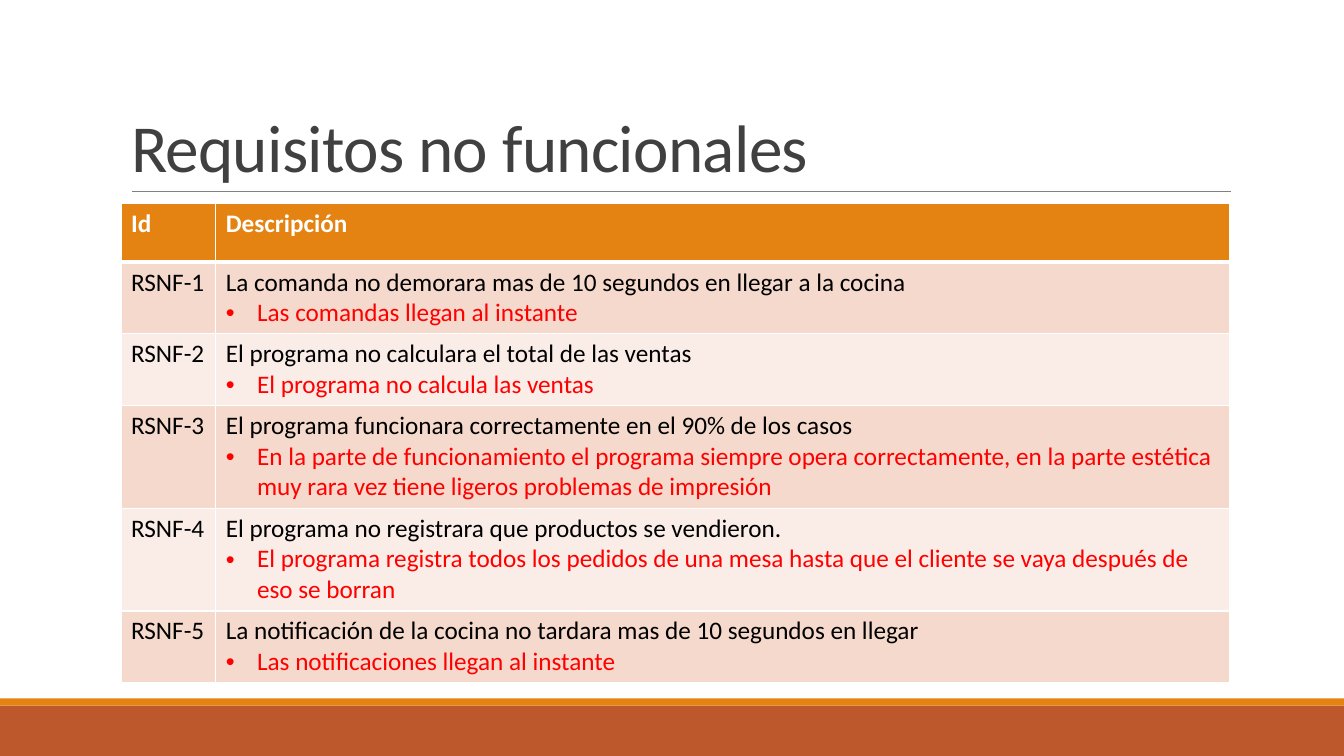
from lxml import etree
from pptx import Presentation
from pptx.dml.color import RGBColor
from pptx.enum.shapes import MSO_CONNECTOR, MSO_SHAPE
from pptx.enum.text import MSO_ANCHOR, MSO_AUTO_SIZE, PP_ALIGN
from pptx.oxml.ns import qn
from pptx.util import Inches, Pt

RECTANGLE = MSO_SHAPE.RECTANGLE
STRAIGHT = MSO_CONNECTOR.STRAIGHT
BOTTOM = MSO_ANCHOR.BOTTOM
NO_AUTOFIT = MSO_AUTO_SIZE.NONE
LEFT = PP_ALIGN.LEFT

FONT = "Calibri"
ORANGE, RUST, WHITE = "E48312", "BD582C", "FFFFFF"
BANDS = ("F5D9CC", "FAEDE7")
TITLE = "Requisitos no funcionales"
HEADINGS = ("Id", "Descripción")
COLUMN_WIDTHS = (0.94, 10.06)
HEADER_HEIGHT = 0.58
REQUIREMENTS = [
    ("La comanda no demorara mas de 10 segundos en llegar a la cocina",
     "Las comandas llegan al instante", 0.71),
    ("El programa no calculara el total de las ventas",
     "El programa no calcula las ventas", 0.71),
    ("El programa funcionara correctamente en el 90% de los casos",
     "En la parte de funcionamiento el programa siempre opera correctamente, "
     "en la parte estética muy rara vez tiene ligeros problemas de impresión", 1.02),
    ("El programa no registrara que productos se vendieron.",
     "El programa registra todos los pedidos de una mesa hasta que el cliente "
     "se vaya después de eso se borran", 1.02),
    ("La notificación de la cocina no tardara mas de 10 segundos en llegar",
     "Las notificaciones llegan al instante", 0.71),
]


def color(value):
    """Turn a hex string into a colour."""
    return RGBColor.from_string(value)


def set_font(paragraph, size, value, bold=False):
    """Set the font of a whole paragraph."""
    font = paragraph.font
    font.name, font.size, font.bold = FONT, Pt(size), bold
    font.color.rgb = color(value)


def add_bar(page, left, top, width, height, value):
    """Add a plain filled bar."""
    bar = page.shapes.add_shape(
        RECTANGLE, Inches(left), Inches(top), Inches(width), Inches(height))
    bar.shadow.inherit = False
    bar.fill.solid()
    bar.fill.fore_color.rgb = color(value)
    bar.line.fill.background()


def add_footer(page, left, top, width, height):
    """Add the thin stripe and the broad band below it."""
    stripe = 0.07
    add_bar(page, left, top + stripe, width, height - stripe, RUST)
    add_bar(page, left, top, width, stripe, ORANGE)


def add_title(page, left, top, width, height):
    """Place the title and the rule along its lower edge."""
    title = page.shapes.title
    title.left, title.top = Inches(left), Inches(top)
    title.width, title.height = Inches(width), Inches(height)
    frame = title.text_frame
    frame.text = TITLE
    frame.word_wrap = True
    frame.auto_size = NO_AUTOFIT
    frame.vertical_anchor = BOTTOM
    para = frame.paragraphs[0]
    para.alignment = LEFT
    para.line_spacing = 0.85
    set_font(para, 48, "404040")
    para.runs[0]._r.get_or_add_rPr().set("spc", "-50")

    bottom = Inches(top + height)
    rule = page.shapes.add_connector(
        STRAIGHT, Inches(left + 0.11), bottom, Inches(left + width + 0.01), bottom)
    rule.line.color.rgb = color("808080")
    rule.line.width = Pt(0.5)
    etree.SubElement(rule._element.spPr, qn("a:effectLst"))


def add_bullet(para):
    """Give a paragraph a hanging round bullet."""
    properties = para._p.get_or_add_pPr()
    indent = Inches(0.31)
    properties.set("marL", str(indent))
    properties.set("indent", str(-indent))
    etree.SubElement(properties, qn("a:buFont"), typeface="Arial")
    etree.SubElement(properties, qn("a:buChar"), char="•")


def style_cell(cell, fill, top_width, bottom_width):
    """Give a cell white borders and a solid fill."""
    properties = cell._tc.get_or_add_tcPr()
    sides = {"lnL": 1, "lnR": 1, "lnT": top_width, "lnB": bottom_width}
    for side, width in sides.items():
        line = etree.SubElement(properties, qn(f"a:{side}"), w=str(Pt(width)))
        solid = etree.SubElement(line, qn("a:solidFill"))
        etree.SubElement(solid, qn("a:srgbClr"), val=WHITE)
    cell.fill.solid()
    cell.fill.fore_color.rgb = color(fill)


def add_requirements(page, left, top, width, height):
    """Add the table of requirements with their outcomes."""
    table = page.shapes.add_table(
        len(REQUIREMENTS) + 1, len(HEADINGS),
        Inches(left), Inches(top), Inches(width), Inches(height)).table
    for column, column_width in zip(table.columns, COLUMN_WIDTHS):
        column.width = Inches(column_width)

    table.rows[0].height = Inches(HEADER_HEIGHT)
    for cell, heading in zip(table.rows[0].cells, HEADINGS):
        style_cell(cell, ORANGE, 1, 3)
        cell.text = heading
        set_font(cell.text_frame.paragraphs[0], 18, WHITE, bold=True)

    for number, (requirement, outcome, row_height) in enumerate(REQUIREMENTS, 1):
        row = table.rows[number]
        row.height = Inches(row_height)
        for cell, text in zip(row.cells, (f"RSNF-{number}", requirement)):
            style_cell(cell, BANDS[(number - 1) % 2], 3 if number == 1 else 1, 1)
            cell.text = text
            set_font(cell.text_frame.paragraphs[0], 18, "000000")
        para = row.cells[1].text_frame.add_paragraph()
        para.text = outcome
        add_bullet(para)
        set_font(para, 18, "FF0000")


def main():
    """Build and save the deck."""
    deck = Presentation()
    deck.slide_width, deck.slide_height = Inches(13.33), Inches(7.5)
    page = deck.slides.add_slide(deck.slide_layouts[5])
    add_footer(page, 0, 6.93, 13.33, 0.57)
    add_title(page, 1.2, 0.31, 11, 1.59)
    add_requirements(page, 1.2, 2.02, 11, 4.75)
    deck.save("out.pptx")


if __name__ == "__main__":
    main()
